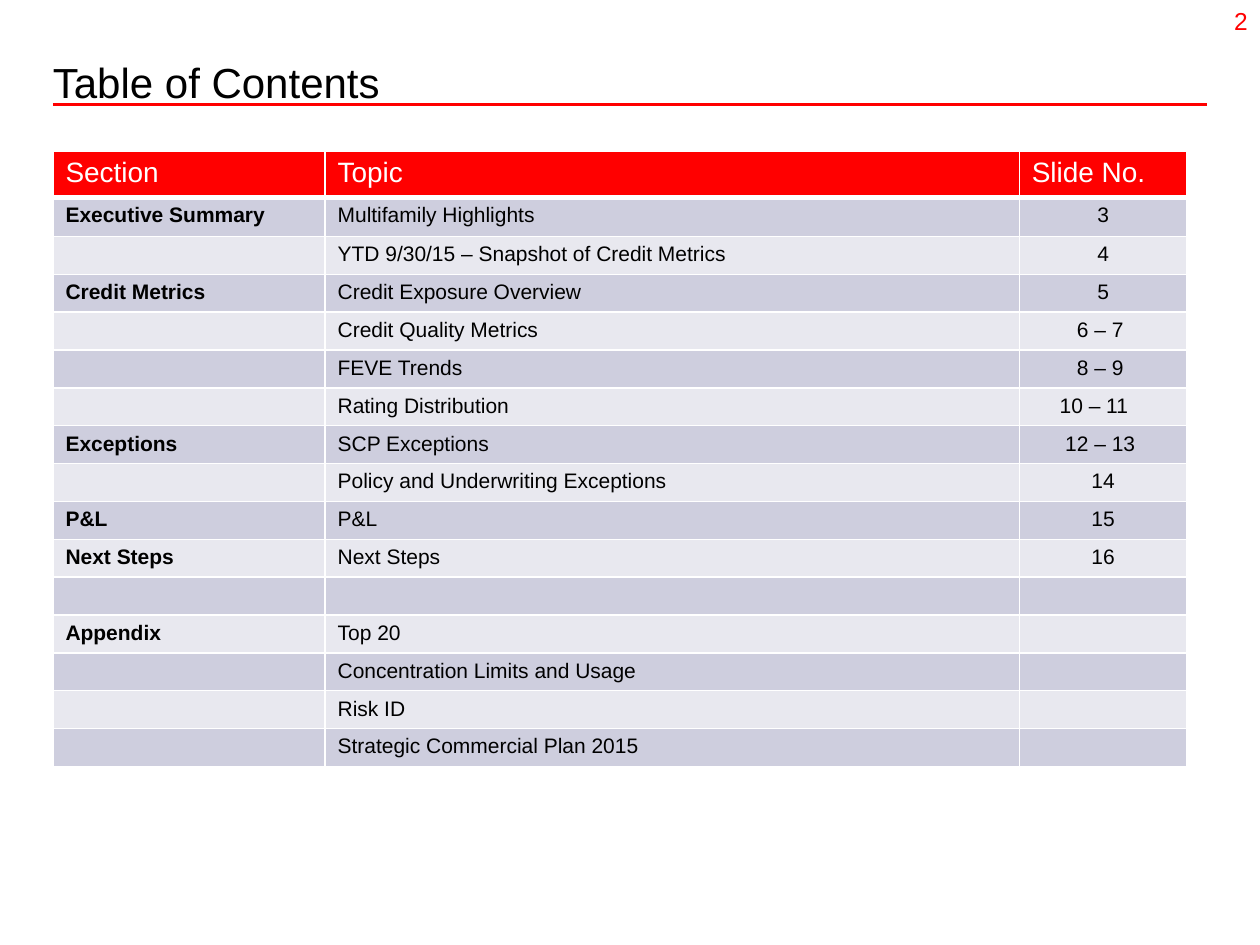
from dataclasses import dataclass

from lxml import etree
from pptx import Presentation
from pptx.dml.color import RGBColor
from pptx.enum.shapes import MSO_CONNECTOR
from pptx.enum.text import PP_ALIGN
from pptx.oxml.ns import qn
from pptx.util import Inches, Pt

LEFT, CENTER, RIGHT = PP_ALIGN.LEFT, PP_ALIGN.CENTER, PP_ALIGN.RIGHT
STRAIGHT = MSO_CONNECTOR.STRAIGHT


@dataclass(frozen=True)
class Theme:
    """Hold the colours and type sizes of the deck."""
    font: str = "Arial"
    red: str = "FF0000"
    black: str = "000000"
    white: str = "FFFFFF"
    bands: tuple = ("CECEDE", "E8E8EF")
    title: int = 24
    head: int = 16
    body: int = 12
    page: int = 14


THEME = Theme()
HEADS = ("Section", "Topic", "Slide No.")
TOPICS = (
    ("Executive Summary", "Multifamily Highlights", "3"),
    ("", "YTD 9/30/15 – Snapshot of Credit Metrics", "4"),
    ("Credit Metrics", "Credit Exposure Overview", "5"),
    ("", "Credit Quality Metrics", "6 – 7 "),
    ("", "FEVE Trends", "8 – 9 "),
    ("", "Rating Distribution", "10 – 11 "),
    ("Exceptions", "SCP Exceptions", "12 – 13 "),
    ("", "Policy and Underwriting Exceptions", "14"),
    ("P&L", "P&L", "15"),
    ("Next Steps", "Next Steps", "16"),
    ("", "", ""),
    ("Appendix", "Top 20", ""),
    ("", "Concentration Limits and Usage", ""),
    ("", "Risk ID", ""),
    ("", "Strategic Commercial Plan 2015", ""),
)


def write(frame, text, size, color, align=LEFT, bold=False):
    """Set one paragraph of text and its format."""
    frame.text = text
    para = frame.paragraphs[0]
    para.alignment = align
    for run in para.runs:
        font = run.font
        font.name, font.size, font.bold = THEME.font, Pt(size), bold
        font.color.rgb = RGBColor.from_string(color)
    if not text:
        etree.SubElement(para._p, qn("a:endParaRPr"), sz=str(size * 100))


def add_text(slide, box, text, size, color, align=LEFT, pad=(0.1, 0.05)):
    """Add a text box with equal side insets."""
    shape = slide.shapes.add_textbox(*map(Inches, box))
    frame = shape.text_frame
    frame.margin_left = frame.margin_right = Inches(pad[0])
    frame.margin_top = frame.margin_bottom = Inches(pad[1])
    frame.word_wrap = True
    write(frame, text, size, color, align)


def add_title(slide, box):
    """Add the title and the red rule beneath it."""
    left, top, width, height = box
    add_text(slide, box, "Table of Contents", THEME.title, THEME.black, pad=(0, 0.03))
    base = Inches(top + 0.41)
    rule = slide.shapes.add_connector(
        STRAIGHT, Inches(left), base, Inches(left + width), base)
    rule.line.color.rgb = RGBColor.from_string(THEME.red)
    rule.line.width = Pt(1.25)
    etree.SubElement(rule._element.spPr, qn("a:effectLst"))


def add_edges(cell, base):
    """Draw white cell borders, with the given lower width."""
    props = cell._tc.get_or_add_tcPr()
    sides = (("L", 1), ("R", 1), ("T", 1), ("B", base))
    for spot, (side, width) in enumerate(sides):
        edge = etree.Element(qn(f"a:ln{side}"), w=str(Pt(width)))
        fill = etree.SubElement(edge, qn("a:solidFill"))
        etree.SubElement(fill, qn("a:srgbClr"), val=THEME.white)
        props.insert(spot, edge)


def paint(cell, fill, base=1):
    """Fill a cell and draw its borders."""
    cell.fill.solid()
    cell.fill.fore_color.rgb = RGBColor.from_string(fill)
    add_edges(cell, base)


def add_topics(slide, box):
    """Add the table of sections, topics and slide numbers."""
    left, top, width, height = box
    count = len(TOPICS) + 1
    table = slide.shapes.add_table(count, len(HEADS), *map(Inches, box)).table
    for col, size in zip(table.columns, (2.16, 5.51, width - 7.67)):
        col.width = Inches(size)
    first = (0.34, 0.31)
    rest = (height - sum(first)) / (count - 2)
    for spot, row in enumerate(table.rows):
        row.height = Inches(first[spot] if spot < 2 else rest)
    for col, text in enumerate(HEADS):
        cell = table.cell(0, col)
        write(cell.text_frame, text, THEME.head, THEME.white)
        paint(cell, THEME.red, 3)
    for row, topic in enumerate(TOPICS, 1):
        for col, text in enumerate(topic):
            cell = table.cell(row, col)
            align = CENTER if col == 2 else LEFT
            write(cell.text_frame, text, THEME.body, THEME.black, align, col == 0)
            paint(cell, THEME.bands[(row - 1) % 2])
            if text.startswith("10"):
                cell.margin_right = Inches(0.2)


def main():
    """Build and save the contents slide."""
    deck = Presentation()
    deck.slide_width, deck.slide_height = Inches(10), Inches(7.5)
    slide = deck.slides.add_slide(deck.slide_layouts[6])
    add_title(slide, (0.42, 0.42, 9.16, 0.5))
    add_topics(slide, (0.42, 1.2, 9, 4.67))
    add_text(slide, (9.58, 0, 0.42, 0.42), "2", THEME.page, THEME.red, RIGHT)
    deck.save("out.pptx")


if __name__ == "__main__":
    main()
